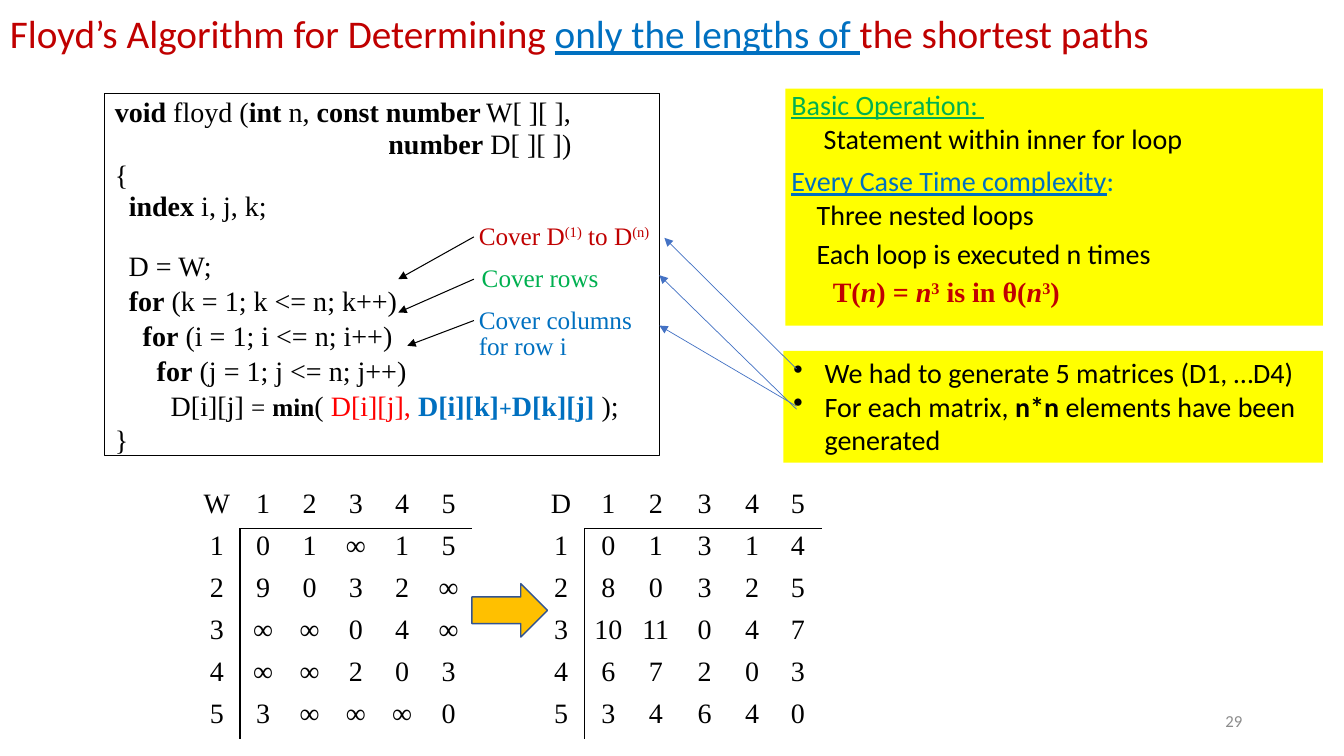
import pptx
import pptx.util
import pptx.dml.color
import pptx.enum.shapes
import pptx.enum.text
import pptx.oxml.ns
import lxml.etree

Inches = pptx.util.Inches
Pt = pptx.util.Pt
RGBColor = pptx.dml.color.RGBColor
MSO_SHAPE = pptx.enum.shapes.MSO_SHAPE
ALIGN = pptx.enum.text.PP_ALIGN
ANCHOR = pptx.enum.text.MSO_ANCHOR
qn = pptx.oxml.ns.qn

BLACK = RGBColor(0x00, 0x00, 0x00)
CRIMSON = RGBColor(0xC0, 0x00, 0x00)
RED = RGBColor(0xFF, 0x00, 0x00)
BLUE = RGBColor(0x00, 0x70, 0xC0)
GREEN = RGBColor(0x00, 0xB0, 0x50)
YELLOW = RGBColor(0xFF, 0xFF, 0x00)
GOLD = RGBColor(0xFF, 0xC0, 0x00)
NAVY = RGBColor(0x32, 0x54, 0x91)
AZURE = RGBColor(0x44, 0x72, 0xC4)
GREY = RGBColor(0x8C, 0x8C, 0x8C)
SERIF, SANS = "Times New Roman", "Calibri"

deck = pptx.Presentation()
deck.slide_width, deck.slide_height = Inches(13.33), Inches(7.5)
slide = deck.slides.add_slide(deck.slide_layouts[6])


def write(frame, base, lines):
    for row, (layout, runs) in enumerate(lines):
        para = frame.paragraphs[0] if row == 0 else frame.add_paragraph()
        layout = dict(layout)
        left, hang = layout.pop("left", 0), layout.pop("hang", 0)
        for key, value in layout.items():
            setattr(para, key, value)
        if left:
            props = para._p.get_or_add_pPr()
            props.set("marL", str(Inches(left)))
            props.set("indent", str(-Inches(hang)))
            if hang:
                lxml.etree.SubElement(props, qn("a:buChar")).set("char", "•")
        for text, extra in runs:
            style = {**base, **extra}
            run = para.add_run()
            run.text = text
            run.font.color.rgb = style.pop("color")
            if style.pop("raised", False):
                run._r.get_or_add_rPr().set("baseline", "30000")
            for key, value in style.items():
                setattr(run.font, key, value)


def panel(place, fill=None, edge=None, inset=(0.1, 0.05, 0.1, 0.05), wrap=True, anchor=ANCHOR.TOP):
    spot = [Inches(n) for n in place]
    if fill or edge:
        shape = slide.shapes.add_shape(MSO_SHAPE.RECTANGLE, *spot)
        shape.shadow.inherit = False
        shape.fill.background()
        shape.line.fill.background()
    else:
        shape = slide.shapes.add_textbox(*spot)
    if fill:
        shape.fill.solid()
        shape.fill.fore_color.rgb = fill
    if edge:
        shape.line.color.rgb = edge
        shape.line.width = Pt(0.75)
    frame = shape.text_frame
    for side, size in zip(("left", "top", "right", "bottom"), inset):
        setattr(frame, "margin_" + side, Inches(size))
    frame.word_wrap, frame.vertical_anchor = wrap, anchor
    return frame


code = {"name": SERIF, "size": Pt(20), "color": BLACK}
prose = {"name": SANS, "size": Pt(20), "color": BLACK}
bold, raised, slant = {"bold": True}, {"raised": True}, {"italic": True}
link = {"color": BLUE, "underline": True}
small = {"size": Pt(18)}
strong = {"color": BLUE, "bold": True}

title = panel((0, 0.06, 12.94, 0.6), anchor=ANCHOR.MIDDLE)
write(title, {"name": SANS, "size": Pt(28), "color": CRIMSON}, [({"line_spacing": 0.9}, [
    ("Floyd’s Algorithm for Determining ", {}),
    ("only the lengths of ", link),
    ("the shortest paths", {}),
])])

head = {"line_spacing": 0.9, "alignment": ALIGN.LEFT}
tight = {**head, "space_before": Pt(0.7)}
loose = {"space_before": Pt(1), "alignment": ALIGN.LEFT}
write(panel((1.04, 0.93, 5.5, 3.59), edge=BLACK, inset=(0.1, 0.05, 0.08, 0.05)), code, [
    (head, [("void ", bold), ("floyd (", {}), ("int", bold), (" n, ", {}),
            ("const number", bold), (" ", {"size": Pt(14)}), ("W[ ][ ],", {})]),
    (tight, [("                                       ", {}), ("number", bold), (" D[ ][ ])", {})]),
    (tight, [("{", {})]),
    (tight, [("  ", {}), ("index", bold), (" i, j, k;", {})]),
    ({**head, "space_before": Pt(21)}, [("  D = W;", {})]),
    (loose, [("  ", {}), ("for", bold), (" (k = 1; k <= n; k++)", {})]),
    (loose, [("    for", bold), (" (i = 1; i <= n; i++)", {})]),
    (loose, [("      for", bold), (" (j = 1; j <= n; j++)", {})]),
    (loose, [("        D[i][j] ", {}), ("=", small), (" ", {}), ("min", {**small, **bold}),
             ("( ", {}), ("D[i][j], ", {"color": RED}), ("D[i][k]", strong),
             ("+", {**strong, "size": Pt(16)}), ("D[k][j] ", strong), (");", {})]),
    ({**loose, "line_spacing": 0.95, "space_before": Pt(2)}, [("}", {})]),
])

inputs = ["W12345", "101∞15", "29032∞", "3∞∞04∞", "4∞∞203", "53∞∞∞0"]
results = [["D", 1, 2, 3, 4, 5], [1, 0, 1, 3, 1, 4], [2, 8, 0, 3, 2, 5],
           [3, 10, 11, 0, 4, 7], [4, 6, 7, 2, 0, 3], [5, 3, 4, 6, 4, 0]]
for left, widths, values in [
    (1.92, [0.46] * 6, inputs),
    (5.33, [0.47, 0.47, 0.47, 0.5, 0.44, 0.47], results),
]:
    grid = slide.shapes.add_table(6, 6, Inches(left), Inches(4.83), Inches(sum(widths)), Inches(2.5)).table
    grid.first_row = grid.horz_banding = False
    for col, width in enumerate(widths):
        grid.columns[col].width = Inches(width)
    for row, line in enumerate(values):
        for col, value in enumerate(line):
            cell = grid.cell(row, col)
            cell.margin_left = cell.margin_right = Inches(0.04)
            cell.margin_top = cell.margin_bottom = Inches(0.02)
            write(cell.text_frame, code, [({"alignment": ALIGN.CENTER}, [(str(value), {})])])
            drawn = {"L": row > 0 and col == 1, "R": row > 0 and col == 0,
                     "T": row == 1 and col > 0, "B": row == 0 and col > 0}
            for side, shown in drawn.items():
                edge = lxml.etree.SubElement(cell._tc.get_or_add_tcPr(), qn("a:ln" + side), w=str(Pt(1)))
                if shown:
                    fill = lxml.etree.SubElement(edge, qn("a:solidFill"))
                    lxml.etree.SubElement(fill, qn("a:srgbClr"), val=str(BLACK))
                else:
                    lxml.etree.SubElement(edge, qn("a:noFill"))
            cell.fill.background()

dense = {"line_spacing": 0.8, "alignment": ALIGN.LEFT}
proof = {"name": SERIF, "color": CRIMSON, "bold": True}
write(panel((7.79, 0.88, 5.33, 2.35), YELLOW, inset=(0.06, 0.05, 0.02, 0.05)), prose, [
    (dense, [("Basic Operation: ", {"color": GREEN, "underline": True})]),
    ({**dense, "left": 0.32, "space_before": Pt(5.5)}, [("Statement within inner for loop", {})]),
    ({**dense, "space_before": Pt(10.5)}, [("Every Case Time complexity", link), (":", {"color": BLUE})]),
    ({**dense, "left": 0.25, "space_before": Pt(5.5)}, [("Three nested loops", {})]),
    ({**dense, "left": 0.25, "space_before": Pt(8.5)}, [("Each loop is executed n times", {})]),
    ({**dense, "left": 0.41, "space_before": Pt(8)}, [(text, {**proof, **extra}) for text, extra in [
        ("T(", {}), ("n", slant), (") = ", {}), ("n", slant), ("3", raised),
        (" is in θ(", {}), ("n", slant), ("3", raised), (")", {})]]),
])

for place, color, lines in [
    ((4.65, 3.02, 1.72, 0.61), BLUE, [[("Cover columns", {})], [("for row i", {})]]),
    ((4.68, 2.6, 1.36, 0.36), GREEN, [[("Cover rows", {})]]),
    ((4.65, 2.18, 1.91, 0.36), CRIMSON,
     [[("Cover D", {}), ("(1)", raised), (" to D", {}), ("(n)", raised)]]),
]:
    write(panel(place, wrap=False), {**code, **small, "color": color},
          [({"line_spacing": 0.85}, runs) for runs in lines])

arrow = slide.shapes.add_shape(MSO_SHAPE.RIGHT_ARROW, Inches(4.68), Inches(5.79), Inches(0.75), Inches(0.53))
arrow.shadow.inherit = False
arrow.fill.solid()
arrow.fill.fore_color.rgb = GOLD
arrow.line.color.rgb = NAVY
arrow.line.width = Pt(1)

item = {"left": 0.31, "hang": 0.31, "alignment": ALIGN.LEFT}
write(panel((7.77, 3.48, 5.35, 1.11), YELLOW), prose, [
    (item, [("We had to generate 5 matrices (D1, …D4)", {})]),
    (item, [("For each matrix, ", {}), ("n*n", bold), (" elements have been generated", {})]),
])

for color, width, ends in [
    (BLACK, 0.75, (4.7, 3.18, 4.04, 3.43)),
    (BLACK, 0.75, (4.7, 2.77, 3.95, 3.1)),
    (BLACK, 0.75, (4.7, 2.35, 3.95, 2.77)),
    (AZURE, 0.5, (7.9, 3.66, 6.59, 2.36)),
    (AZURE, 0.5, (7.9, 4.06, 6.54, 2.73)),
    (AZURE, 0.5, (7.9, 4.03, 6.54, 3.23)),
]:
    wire = slide.shapes.add_connector(pptx.enum.shapes.MSO_CONNECTOR.STRAIGHT, *[Inches(n) for n in ends])
    wire.line.color.rgb = color
    wire.line.width = Pt(width)
    props = wire._element.spPr
    lxml.etree.SubElement(props.find(qn("a:ln")), qn("a:tailEnd"), type="triangle")
    lxml.etree.SubElement(props, qn("a:effectLst"))

write(panel((9.42, 6.95, 3, 0.4), anchor=ANCHOR.MIDDLE), {"name": SANS, "size": Pt(12), "color": GREY},
      [({"alignment": ALIGN.RIGHT}, [("29", {})])])

deck.save("out.pptx")
